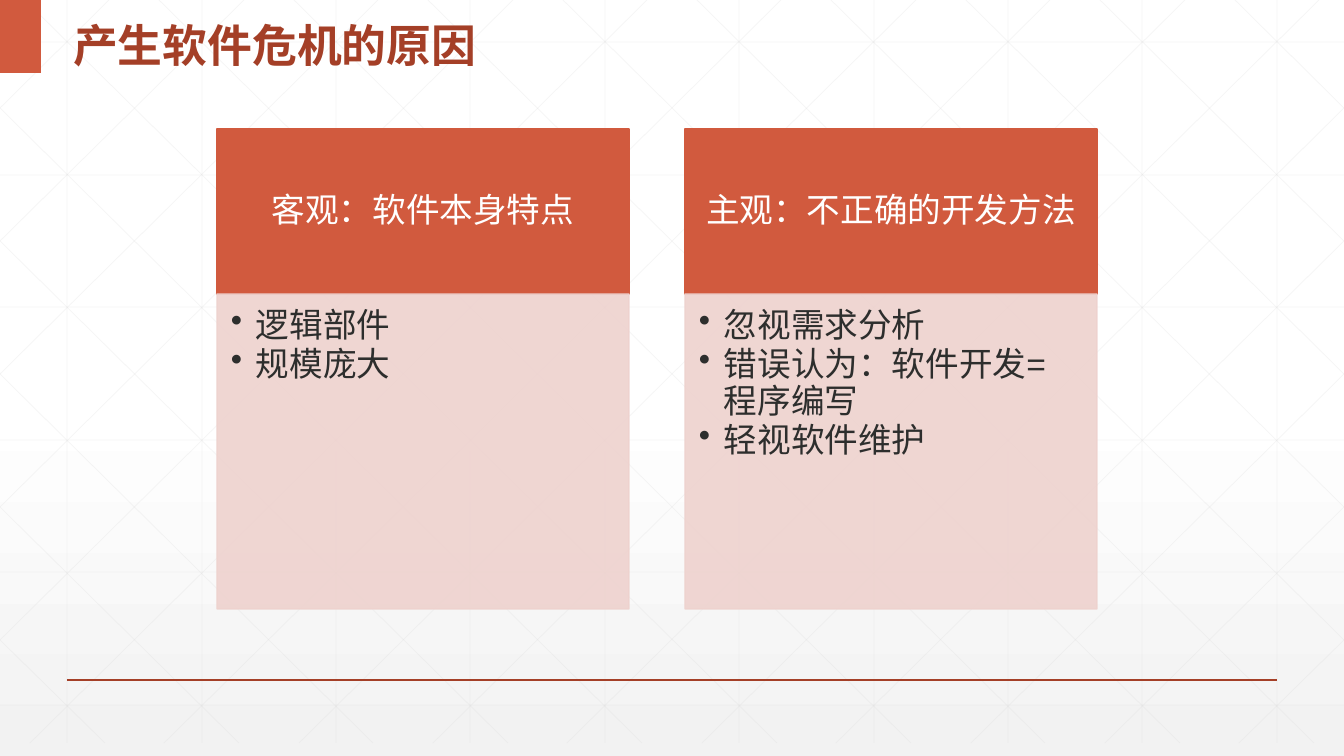
import lxml.etree
import pptx
import pptx.util
import pptx.dml.color
import pptx.enum.shapes
import pptx.enum.text
import pptx.oxml.ns

PX = 914400 / 100.8
WIDTH, HEIGHT = 1344, 756
GRID_BOTTOM = 743
COLUMN_STEP, ROW_STEP = 134.4, 132.6
SLANT = 1.0115
ACCENT, DARK_ACCENT, PALE, GRID = "D15A3E", "A43F27", "EED2CE", "D9D9D9"
CJK_FONT = "Noto Sans CJK SC"

qn = pptx.oxml.ns.qn
align = pptx.enum.text.PP_ALIGN
anchors = pptx.enum.text.MSO_ANCHOR
straight = pptx.enum.shapes.MSO_CONNECTOR.STRAIGHT
rectangle = pptx.enum.shapes.MSO_SHAPE.RECTANGLE


def paint(fill, color):
    fill.solid()
    fill.fore_color.rgb = pptx.dml.color.RGBColor.from_string(color)


def write(frame, text, size=24, font="Arial", color="FFFFFF", bold=False, alignment=align.LEFT,
          anchor=anchors.TOP, insets=(10, 5, 10, 5), spacing=0.9, after=0, bullet=None):
    frame.word_wrap = True
    frame.auto_size = pptx.enum.text.MSO_AUTO_SIZE.NONE
    frame.vertical_anchor = anchor
    frame.margin_left, frame.margin_top, frame.margin_right, frame.margin_bottom = [
        round(inset * PX) for inset in insets]
    frame.text = text
    for para in frame.paragraphs:
        para.alignment = alignment
        para.line_spacing = spacing
        para.space_before = pptx.util.Pt(0)
        para.space_after = pptx.util.Pt(after)
        if bullet:
            para.level = 1
            properties = para._p.get_or_add_pPr()
            properties.set("marL", str(round(25 * PX)))
            properties.set("indent", str(round(-25 * PX)))
            lxml.etree.SubElement(properties, qn("a:buChar"), char=bullet)
        for span in para.runs:
            span.font.size = pptx.util.Pt(size)
            span.font.bold = bold
            span.font.name = font
            paint(span.font.fill, color)
            lxml.etree.SubElement(span._r.get_or_add_rPr(), qn("a:ea"), typeface=CJK_FONT)


deck = pptx.Presentation()
deck.slide_width, deck.slide_height = round(WIDTH * PX), round(HEIGHT * PX)
page = deck.slides.add_slide(deck.slide_layouts[5])

page.background.fill.gradient()
page.background.fill.gradient_angle = 270
stops = page.element.find(".//" + qn("a:gsLst"))
stops.clear()
for position, color, opacity in [(0, "FFFFFF", 100), (53, "FFFFFF", 100), (100, "F2F2F2", 65)]:
    stop = lxml.etree.SubElement(stops, qn("a:gs"), pos=str(position * 1000))
    stop_color = lxml.etree.SubElement(stop, qn("a:srgbClr"), val=color)
    lxml.etree.SubElement(stop_color, qn("a:alpha"), val=str(opacity * 1000))

grid_lines = []
for column in range(10):
    x = 67.2 + COLUMN_STEP * column
    grid_lines.append((x, 0, x, GRID_BOTTOM))
for row in range(6):
    y = 42 + ROW_STEP * row
    grid_lines.append((0, y, WIDTH, y))
for column in range(-5, 10):
    start = 25 + COLUMN_STEP * column
    top = max(0, -start / SLANT)
    bottom = min(GRID_BOTTOM, (WIDTH - start) / SLANT)
    left, right = start + top * SLANT, start + bottom * SLANT
    grid_lines.append((left, top, right, bottom))
    grid_lines.append((WIDTH - left, top, WIDTH - right, bottom))

translucent = []
grid = page.shapes.add_group_shape()
rules = [(grid, ends, GRID, 0.5) for ends in grid_lines]
rules.append((page, (67, 680, 1277, 680), DARK_ACCENT, 1))
for owner, ends, color, weight in rules:
    rule = owner.shapes.add_connector(straight, *[round(round(end) * PX) for end in ends])
    paint(rule.line.fill, color)
    rule.line.width = pptx.util.Pt(weight)
    lxml.etree.SubElement(rule.element.spPr, qn("a:effectLst"))
    if owner is grid:
        translucent.append((rule, 25))

corner = page.shapes.add_shape(rectangle, 0, 0, round(41 * PX), round(73 * PX))
corner.shadow.inherit = False
paint(corner.fill, ACCENT)
corner.line.fill.background()

title = page.shapes.title
title.left, title.top, title.width, title.height = [round(length * PX) for length in (63, 0, 574, 73)]
write(title.text_frame, "产生软件危机的原因", size=32, font=CJK_FONT, color=DARK_ACCENT,
      bold=True, anchor=anchors.MIDDLE, spacing=1.3)
title.element.getparent().append(title.element)

causes = [
    ("客观：软件本身特点", ["逻辑部件", "规模庞大"]),
    ("主观：不正确的开发方法", ["忽视需求分析", "错误认为：软件开发=程序编写", "轻视软件维护"]),
]
header_format = dict(alignment=align.CENTER, anchor=anchors.MIDDLE, insets=(19, 11, 19, 11))
body_format = dict(color="2D2E2D", insets=(14, 14, 19, 21), after=2.5, bullet="•")
for index, (heading, points) in enumerate(causes):
    left = 217 + 468 * index
    for top, height, color, text, style in [
        (129, 165, ACCENT, heading, header_format),
        (294, 315, PALE, "\n".join(points), body_format),
    ]:
        box = page.shapes.add_shape(rectangle, *[round(length * PX) for length in (left, top, 412, height)])
        box.shadow.inherit = False
        paint(box.fill, color)
        paint(box.line.fill, color)
        box.line.width = pptx.util.Pt(1)
        write(box.text_frame, text, **style)
        if color == PALE:
            translucent.append((box, 90))

for shape, opacity in translucent:
    for tint in shape.element.spPr.iter(qn("a:srgbClr")):
        lxml.etree.SubElement(tint, qn("a:alpha"), val=str(opacity * 1000))

deck.save("out.pptx")
